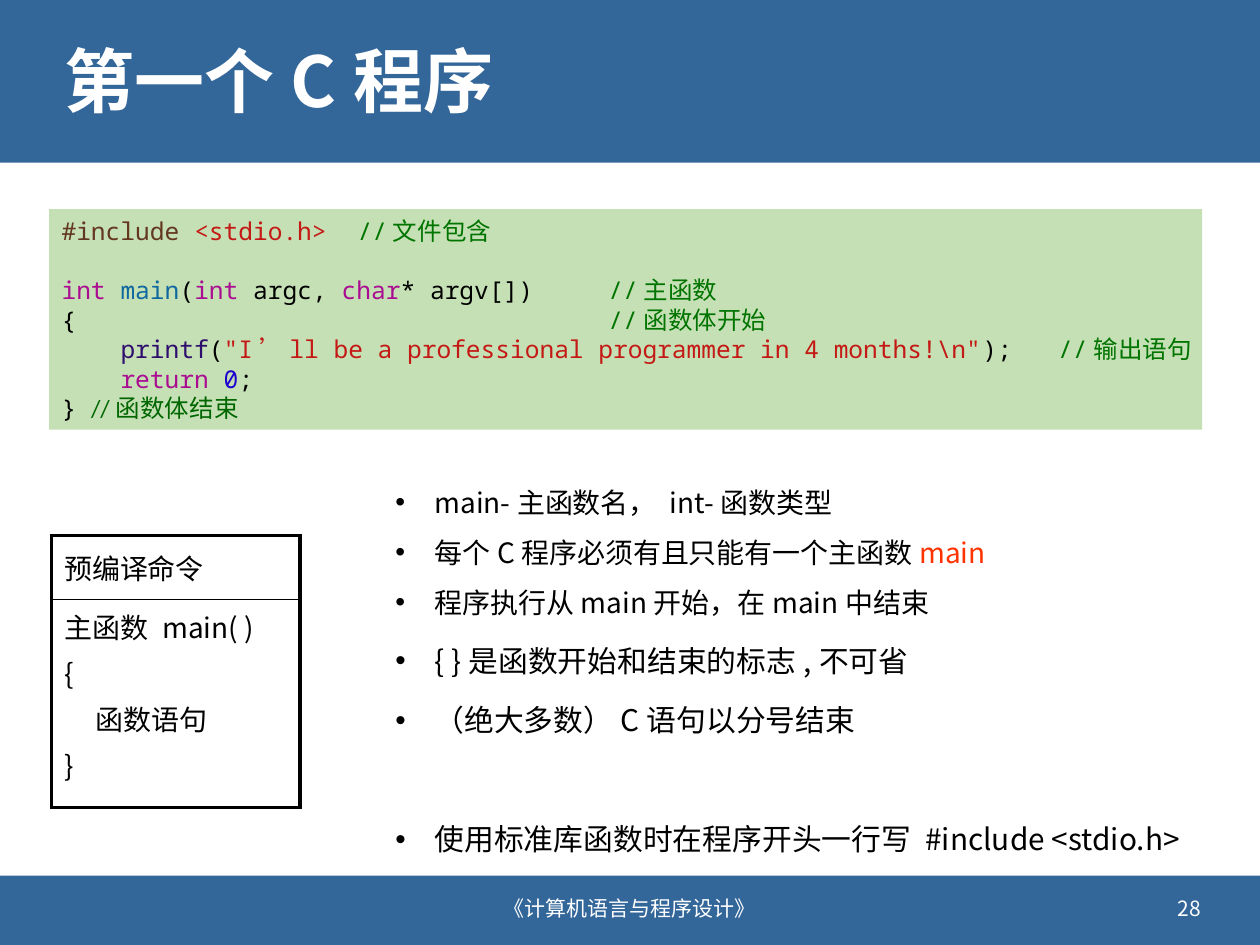
from lxml import etree
from pptx import Presentation
from pptx.dml.color import RGBColor
from pptx.enum.shapes import MSO_SHAPE
from pptx.enum.text import MSO_ANCHOR, PP_ALIGN
from pptx.oxml.ns import qn
from pptx.util import Inches, Pt

RECT = MSO_SHAPE.RECTANGLE
MIDDLE, TOP = MSO_ANCHOR.MIDDLE, MSO_ANCHOR.TOP
LEFT, CENTER, RIGHT = PP_ALIGN.LEFT, PP_ALIGN.CENTER, PP_ALIGN.RIGHT
BLUE = RGBColor(0x33, 0x66, 0x99)
WHITE = RGBColor(0xFF, 0xFF, 0xFF)
BLACK = RGBColor(0, 0, 0)
ORANGE = RGBColor(0xFF, 0x33, 0x00)
PALE_GREEN = RGBColor(0xC5, 0xE0, 0xB4)
BROWN = RGBColor(0x64, 0x38, 0x20)
RED = RGBColor(0xC4, 0x1A, 0x16)
GREEN = RGBColor(0x00, 0x74, 0x00)
DARK_GREEN = RGBColor(0x00, 0x66, 0x00)
PURPLE = RGBColor(0xAA, 0x0D, 0x91)
TEAL = RGBColor(0x0F, 0x68, 0xA0)
INDIGO = RGBColor(0x2E, 0x0D, 0x6E)
NUMBER = RGBColor(0x1C, 0x00, 0xCF)
SANS, MONO, CALIBRI = "Noto Sans CJK SC", "Noto Sans Mono", "Calibri"


def add_run(p, text, size, color, font=SANS, bold=False):
    r = p.add_run()
    r.text = text
    r.font.size = Pt(size)
    r.font.bold = bold
    r.font.color.rgb = color
    r.font.name = font
    etree.SubElement(r.font._element, qn("a:ea")).set("typeface", SANS)


def add_rect(left, top, width, height, fill):
    sp = s.shapes.add_shape(RECT, Inches(left), Inches(top), Inches(width), Inches(height))
    sp.shadow.inherit = False
    sp.fill.solid()
    sp.fill.fore_color.rgb = fill
    sp.line.fill.background()
    sp.text_frame.word_wrap = True
    return sp


prs = Presentation()
prs.slide_width, prs.slide_height = Inches(10), Inches(7.5)
s = prs.slides.add_slide(prs.slide_layouts[5])

for top, height in ((6.95, 0.55), (0, 1.29)):
    bar = add_rect(0, top, 10, height, BLUE)
    s.shapes._spTree.insert(2, bar._element)

title = s.shapes.title
title.left, title.top = Inches(0.41), Inches(0.18)
title.width, title.height = Inches(9.19), Inches(0.99)
tf = title.text_frame
tf.vertical_anchor = MIDDLE
p = tf.paragraphs[0]
p.alignment = LEFT
p.line_spacing = 0.9
add_run(p, "第一个C程序", 40, WHITE, bold=True)

for text, left, width, align in (
    ("《计算机语言与程序设计》", 3.2, 3.6, CENTER),
    ("28", 7.23, 2.4, RIGHT),
):
    box = s.shapes.add_textbox(Inches(left), Inches(7.01), Inches(width), Inches(0.4))
    tf = box.text_frame
    tf.word_wrap = True
    tf.vertical_anchor = MIDDLE
    p = tf.paragraphs[0]
    p.alignment = align
    add_run(p, text, 12, WHITE)

notes_box = add_rect(3.04, 3.67, 6.65, 3.22, WHITE)
tf = notes_box.text_frame
tf.vertical_anchor = TOP
bullets = [
    (16, 28.6, 0, [("main-主函数名， int-函数类型", BLACK)]),
    (16, 28.6, 0, [("每个C程序必须有且只能有一个主函数", BLACK), ("main", ORANGE)]),
    (16, 28.6, 0, [("程序执行从main开始，在main中结束", BLACK)]),
    (17, 30.6, 3.4, [("{ }是函数开始和结束的标志,不可省", BLACK)]),
    (17, 30.6, 3.4, [("（绝大多数）C语句以分号结束", BLACK)]),
    (17, 30.6, 37.4, [("使用标准库函数时在程序开头一行写 #include <stdio.h>", BLACK)]),
]
for i, (size, leading, before, runs) in enumerate(bullets):
    p = tf.paragraphs[0] if i == 0 else tf.add_paragraph()
    p.alignment = LEFT
    p.line_spacing = Pt(leading)
    p.space_before = Pt(before)
    pPr = p._p.get_or_add_pPr()
    pPr.set("marL", str(Inches(0.31)))
    pPr.set("indent", str(-Inches(0.31)))
    etree.SubElement(pPr, qn("a:buFont")).set("typeface", "Arial")
    etree.SubElement(pPr, qn("a:buChar")).set("char", "•")
    for text, color in runs:
        add_run(p, text, size, color)

frame = s.shapes.add_table(2, 1, Inches(0.41), Inches(4.25), Inches(1.97), Inches(2.16))
table = frame.table
table.first_row = table.horz_banding = False
table_rows = [
    (0.51, MIDDLE, 2.25, 1, [("预编译命令", 0)]),
    (1.65, TOP, 1, 2.25, [("主函数 main( )", 0), ("{", 0), ("函数语句", 0.25), ("}", 0)]),
]
for i, (height, anchor, top_line, bottom_line, lines) in enumerate(table_rows):
    table.rows[i].height = Inches(height)
    cell = table.cell(i, 0)
    cell.vertical_anchor = anchor
    tcPr = cell._tc.get_or_add_tcPr()
    for side, width in (("L", 2.25), ("R", 2.25), ("T", top_line), ("B", bottom_line)):
        ln = etree.SubElement(tcPr, qn(f"a:ln{side}"), w=str(Pt(width)))
        fill = etree.SubElement(ln, qn("a:solidFill"))
        etree.SubElement(fill, qn("a:srgbClr")).set("val", str(BLACK))
    cell.fill.background()
    for j, (text, indent) in enumerate(lines):
        p = cell.text_frame.paragraphs[0] if j == 0 else cell.text_frame.add_paragraph()
        p.space_before = Pt(3.2 if j else 0)
        p._p.get_or_add_pPr().set("marL", str(Inches(indent)))
        add_run(p, text, 16, BLACK)

code_box = add_rect(0.39, 1.66, 9.15, 1.75, PALE_GREEN)
tf = code_box.text_frame
tf.vertical_anchor = MIDDLE
tf.margin_right = 0
LEADING = 16.9
code_lines = [
    (2.35, 0, [("#include ", BROWN), ("<stdio.h>", RED), ("\t//文件包含", GREEN)]),
    (4.34, LEADING, [("int ", PURPLE), ("main", TEAL), ("(", BLACK), ("int ", PURPLE),
                     ("argc, ", BLACK), ("char", PURPLE), ("* argv[])", BLACK),
                     ("\t//主函数", GREEN)]),
    (4.34, 0, [("{", BLACK), ("\t//函数体开始", GREEN)]),
    (7.91, 0, [("    ", BLACK), ("printf", INDIGO), ("(", BLACK),
               ('"I’ll be a professional programmer in 4 months!\\n"', RED),
               (");", BLACK), ("\t//输出语句", GREEN)]),
    (None, 0, [("    ", BLACK), ("return ", PURPLE), ("0", NUMBER), (";", BLACK)]),
    (None, 0, [("} ", BLACK), ("//函数体结束", DARK_GREEN)]),
]
for i, (tab, before, runs) in enumerate(code_lines):
    p = tf.paragraphs[0] if i == 0 else tf.add_paragraph()
    p.alignment = LEFT
    p.line_spacing = Pt(LEADING)
    p.space_before = Pt(before)
    if tab:
        tabs = etree.SubElement(p._p.get_or_add_pPr(), qn("a:tabLst"))
        etree.SubElement(tabs, qn("a:tab"), pos=str(Inches(tab)), algn="l")
    for text, color in runs:
        add_run(p, text, 14, color, CALIBRI if color == DARK_GREEN else MONO)

prs.save("out.pptx")
